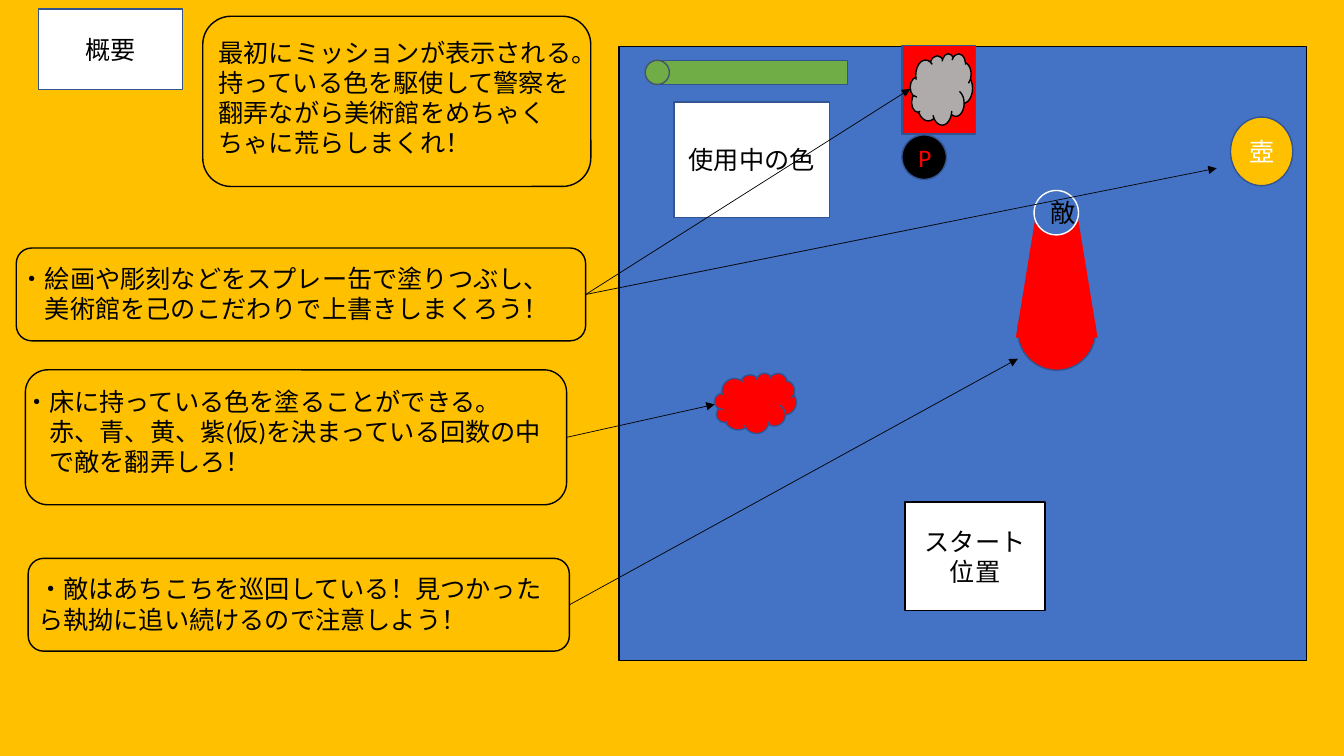
import pptx
import pptx.util
import pptx.dml.color
import pptx.enum.shapes
import pptx.enum.text
import pptx.oxml.ns
from lxml import etree

Cm, Pt = pptx.util.Cm, pptx.util.Pt
Kind = pptx.enum.shapes.MSO_SHAPE
Anchor = pptx.enum.text.MSO_ANCHOR
Align = pptx.enum.text.PP_ALIGN


class Theme:
    font = "Calibri"
    size = 18
    outline = 1
    arrow = 0.5
    gold = "FFC000"
    blue = "4472C4"
    navy = "325491"
    slate = "44546A"
    red = "FF0000"
    green = "70AD47"
    grey = "AFABAB"
    black = "000000"
    white = "FFFFFF"


# Content: lengths in cm, boxes as left, top, width, height
SLIDE_SIZE = (33.87, 19.05)
TITLE = ("概要", (0.97, 0.23, 3.63, 2.03))

# kind, box, fill, line, text, text colour
MAP_PARTS = [
    (Kind.RECTANGLE, (15.6, 1.17, 17.32, 15.47), Theme.blue, Theme.black, "", None),
    (Kind.RECTANGLE, (22.81, 12.65, 3.53, 2.74), Theme.white, Theme.black, "スタート位置", Theme.black),
    (Kind.OVAL, (22.73, 3.4, 1.12, 1.12), Theme.black, Theme.navy, "P", Theme.red),
    # Enemy and its field of view
    (Kind.OVAL, (25.65, 7.37, 1.96, 1.96), Theme.red, Theme.navy, "", None),
    (Kind.TRAPEZOID, (25.6, 5.36, 2.06, 3.15), Theme.red, None, "", None),
    (Kind.OVAL, (26.06, 4.8, 1.12, 1.12), Theme.blue, Theme.white, "敵", Theme.black),
    # Works of art
    (Kind.RECTANGLE, (22.73, 1.14, 1.85, 2.24), Theme.red, Theme.navy, "", None),
    (Kind.OVAL, (31.01, 2.95, 1.57, 1.73), Theme.gold, Theme.navy, "壺", Theme.white),
    # Spray gauge
    (Kind.RECTANGLE, (16.51, 1.52, 4.85, 0.61), Theme.green, Theme.navy, "", None),
    (Kind.OVAL, (16.26, 1.52, 0.61, 0.61), Theme.green, Theme.slate, "", None),
    # Paint and current colour
    (Kind.CLOUD, (22.94, 1.35, 1.57, 1.8), Theme.grey, Theme.black, "", None),
    (Kind.RECTANGLE, (16.99, 2.57, 3.91, 2.92), Theme.white, Theme.navy, "使用中の色", Theme.black),
    (Kind.CLOUD, (18.01, 9.4, 2.06, 1.52), Theme.red, Theme.navy, "", None),
]

# frame box, text box, paragraphs as (text, indent in characters), arrow targets
CALLOUTS = [
    ((5.11, 0.41, 9.78, 4.29), (5.26, 0.81, 9.58, 3.61),
     [("最初にミッションが表示される。", 0),
      ("持っている色を駆使して警察を翻弄ながら美術館をめちゃくちゃに荒らしまくれ！", 0)],
     []),
    ((0.41, 6.25, 14.35, 2.34), (0.25, 6.5, 14.48, 1.8),
     [("・絵画や彫刻などをスプレー缶で塗りつぶし、", 0),
      ("美術館を己のこだわりで上書きしまくろう！", 1)],
     [(22.94, 2.24), (30.66, 4.24)]),
    ((0.64, 9.32, 13.64, 3.4), (0.36, 9.6, 14.35, 3.33),
     [("・床に持っている色を塗ることができる。", 0),
      ("赤、青、黄、紫(仮)を決まっている回数の中", 1),
      ("で敵を翻弄しろ！", 1)],
     [(18.01, 10.19)]),
    ((0.71, 14.07, 13.64, 2.34), (0.71, 14.33, 13.59, 1.8),
     [("・敵はあちこちを巡回している！見つかったら執拗に追い続けるので注意しよう！", 0)],
     [(25.65, 9.04)]),
]


def rgb(colour):
    return pptx.dml.color.RGBColor.from_string(colour)


def lengths(box):
    return [Cm(value) for value in box]


def paint(shape, fill, line):
    if fill:
        shape.fill.solid()
        shape.fill.fore_color.rgb = rgb(fill)
    else:
        shape.fill.background()
    if line:
        shape.line.color.rgb = rgb(line)
        shape.line.width = Pt(Theme.outline)
    else:
        shape.line.fill.background()


def add_text(paragraph, text, colour, alignment):
    paragraph.alignment = alignment
    run = paragraph.add_run()
    run.text = text
    run.font.name = Theme.font
    run.font.size = Pt(Theme.size)
    run.font.color.rgb = rgb(colour)


def center_text(shape, text, colour):
    frame = shape.text_frame
    frame.word_wrap = True
    frame.vertical_anchor = Anchor.MIDDLE
    add_text(frame.paragraphs[0], text, colour, Align.CENTER)


def add_part(slide, kind, box, fill, line, text="", colour=None):
    shape = slide.shapes.add_shape(kind, *lengths(box))
    shape.shadow.inherit = False
    paint(shape, fill, line)
    if text:
        center_text(shape, text, colour)
    return shape


def add_note(slide, box, paragraphs):
    frame = slide.shapes.add_textbox(*lengths(box)).text_frame
    frame.word_wrap = True
    for index, (text, indent) in enumerate(paragraphs):
        paragraph = frame.add_paragraph() if index else frame.paragraphs[0]
        add_text(paragraph, text, Theme.black, Align.LEFT)
        if indent:
            paragraph._p.get_or_add_pPr().set("marL", str(Pt(Theme.size * indent)))


def add_arrow(slide, frame, target):
    end = lengths(target)
    arrow = slide.shapes.add_connector(
        pptx.enum.shapes.MSO_CONNECTOR.STRAIGHT, frame.left, frame.top, *end)
    arrow.begin_connect(frame, 3)
    arrow.line.color.rgb = rgb(Theme.black)
    arrow.line.width = Pt(Theme.arrow)
    qn = pptx.oxml.ns.qn
    etree.SubElement(arrow.line._get_or_add_ln(), qn("a:tailEnd"), type="triangle")
    etree.SubElement(arrow._element.spPr, qn("a:effectLst"))


def main():
    presentation = pptx.Presentation()
    presentation.slide_width, presentation.slide_height = lengths(SLIDE_SIZE)
    slide = presentation.slides.add_slide(presentation.slide_layouts[5])
    slide.background.fill.solid()
    slide.background.fill.fore_color.rgb = rgb(Theme.gold)

    # Title
    text, box = TITLE
    title = slide.shapes.title
    title.left, title.top, title.width, title.height = lengths(box)
    paint(title, Theme.white, Theme.navy)
    title.text_frame.auto_size = pptx.enum.text.MSO_AUTO_SIZE.NONE
    center_text(title, text, Theme.black)

    # Museum map
    for part in MAP_PARTS:
        add_part(slide, *part)

    # Callouts and their arrows
    for frame_box, text_box, paragraphs, targets in CALLOUTS:
        frame = add_part(slide, Kind.ROUNDED_RECTANGLE, frame_box, None, Theme.black)
        add_note(slide, text_box, paragraphs)
        for target in targets:
            add_arrow(slide, frame, target)

    presentation.save("out.pptx")


if __name__ == "__main__":
    main()
